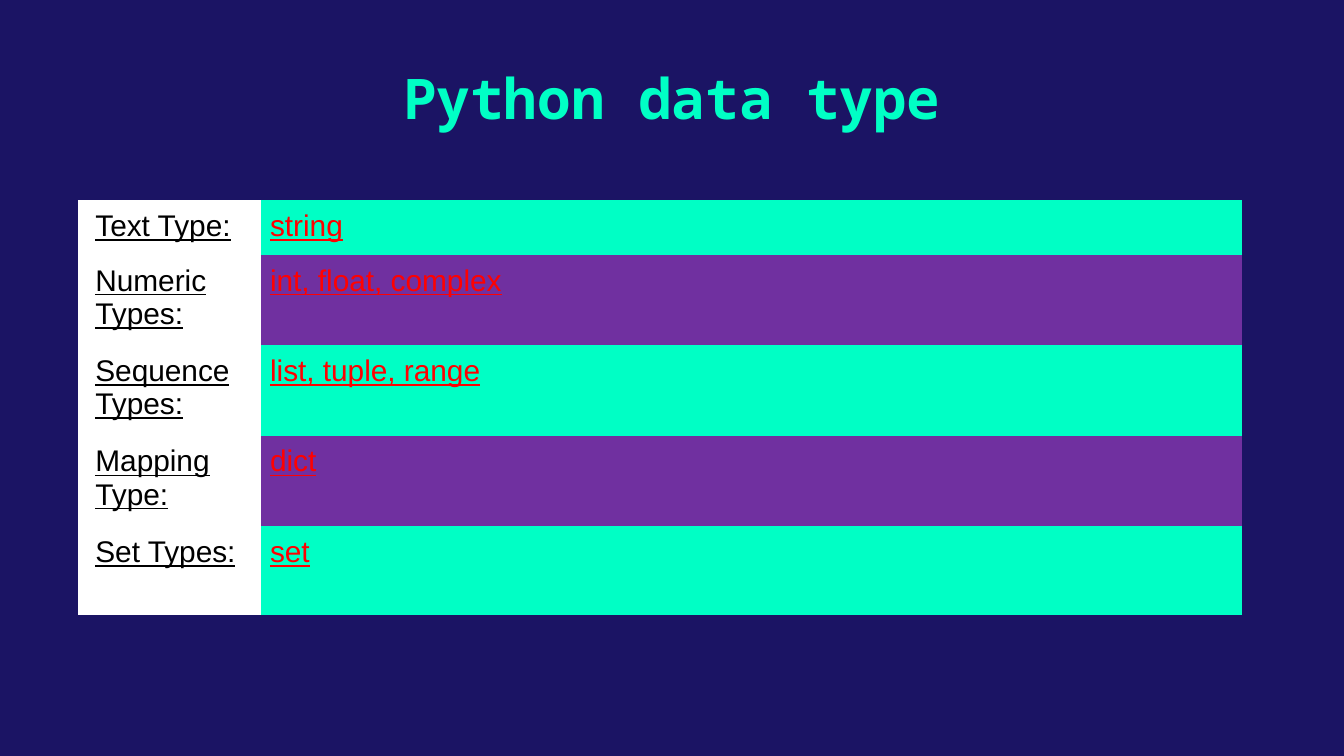
from pptx import Presentation
from pptx.dml.color import RGBColor
from pptx.enum.text import MSO_ANCHOR, PP_ALIGN
from pptx.util import Inches, Pt

COLORS = {
    "navy": "1B1464",
    "mint": "00FFC5",
    "purple": "7030A0",
    "red": "FF0101",
    "black": "000000",
    "white": "FFFFFF",
}
NO_STYLE_NO_GRID = "{2D5ABB26-0587-4C30-8999-92F81FD0307C}"


def color(name):
    return RGBColor.from_string(COLORS[name])


def write_text(frame, text, font="Arial", size=16, fill="black", bold=False,
               underline=False, align=PP_ALIGN.LEFT):
    paragraph = frame.paragraphs[0]
    paragraph.alignment = align
    run = paragraph.add_run()
    run.text = text
    run.font.name = font
    run.font.size = Pt(size)
    run.font.bold = bold
    run.font.underline = underline
    run.font.color.rgb = color(fill)


# Slide (16:9) and background
presentation = Presentation()
presentation.slide_width = Inches(10)
presentation.slide_height = Inches(10 * 9 / 16)
slide = presentation.slides.add_slide(presentation.slide_layouts[6])
slide.background.fill.solid()
slide.background.fill.fore_color.rgb = color("navy")

# Title
title = slide.shapes.add_textbox(Inches(1.4), Inches(0.36), Inches(7.2), Inches(0.73))
title_frame = title.text_frame
title_frame.word_wrap = True
title_frame.vertical_anchor = MSO_ANCHOR.MIDDLE
title_frame.margin_left = title_frame.margin_right = Inches(0.1)
title_frame.margin_top = title_frame.margin_bottom = Inches(0.1)
write_text(title_frame, "Python data type", font="Noto Sans Mono", size=30,
           fill="mint", bold=True, align=PP_ALIGN.CENTER)

# Data type table: label, Python types, row height
rows = [
    ("Text Type:", "string", 0.36),
    ("Numeric Types:", "int, float, complex", 0.6),
    ("Sequence Types:", "list, tuple, range", 0.6),
    ("Mapping Type:", "dict", 0.6),
    ("Set Types:", "set", 0.66),
]
frame = slide.shapes.add_table(len(rows), 2, Inches(0.58), Inches(1.49),
                               Inches(8.66), Inches(sum(row[2] for row in rows)))
table = frame.table
table.first_row = table.horz_banding = False
table._tbl.tblPr[0].text = NO_STYLE_NO_GRID
table.columns[0].width = Inches(1.36)
table.columns[1].width = Inches(7.3)

for index, (label, types, height) in enumerate(rows):
    table.rows[index].height = Inches(height)
    band = "purple" if index % 2 else "mint"
    cells = [(label, "black", "white", 0.13), (types, "red", band, 0.07)]
    for column, (text, text_color, background, left) in enumerate(cells):
        cell = table.cell(index, column)
        cell.fill.solid()
        cell.fill.fore_color.rgb = color(background)
        cell.margin_left = Inches(left)
        cell.margin_right = cell.margin_top = cell.margin_bottom = Inches(0.07)
        write_text(cell.text_frame, text, fill=text_color, underline=True)

presentation.save("out.pptx")
